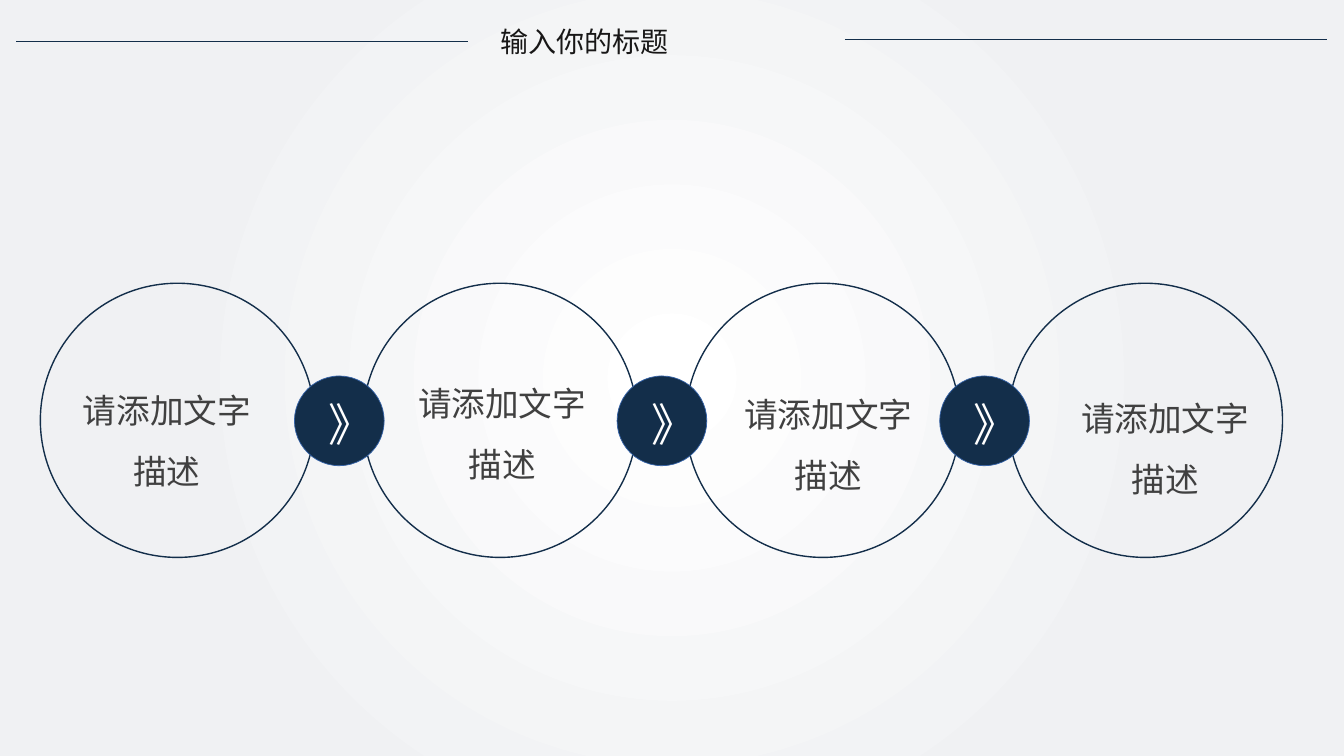
from lxml import etree
from pptx import Presentation
from pptx.dml.color import RGBColor
from pptx.enum import shapes, text
from pptx.oxml.ns import qn
from pptx.util import Inches, Pt

FONT = "Noto Sans CJK SC"
NAVY = "132E4A"
STEP_PITCH = 3.2
LABEL = "请添加文字描述"
LABEL_BOXES = [(0.72, 3.62, 1.87, 1.25), (4.03, 3.55, 1.9, 1.31),
               (7.28, 3.66, 1.87, 1.25), (10.62, 3.7, 1.87, 1.25)]


def color(value):
    return RGBColor.from_string(value)


def set_radial_background(slide, center, edge):
    fill = slide.background.fill
    fill.gradient()
    for stop, position, value in zip(fill.gradient_stops, (0, 0.67), (center, edge)):
        stop.position = position
        stop.color.rgb = color(value)
    gradient = slide.element.find(".//" + qn("a:gradFill"))
    linear = gradient.find(qn("a:lin"))
    radial = etree.Element(qn("a:path"), {"path": "circle"})
    etree.SubElement(radial, qn("a:fillToRect"),
                     {side: "50000" for side in "ltrb"})
    gradient.replace(linear, radial)


def add_text(parent, content, box, *, size, ink, align=None, spacing=None,
             insets=(0.1, 0.05), anchor=text.MSO_ANCHOR.TOP, grow=True):
    text_box = parent.add_textbox(*map(Inches, box))
    frame = text_box.text_frame
    frame.word_wrap = True
    frame.vertical_anchor = anchor
    frame.auto_size = (text.MSO_AUTO_SIZE.SHAPE_TO_FIT_TEXT if grow
                       else text.MSO_AUTO_SIZE.NONE)
    frame.margin_left = frame.margin_right = Inches(insets[0])
    frame.margin_top = frame.margin_bottom = Inches(insets[1])
    paragraph = frame.paragraphs[0]
    paragraph.alignment = align
    paragraph.line_spacing = spacing
    run = paragraph.add_run()
    run.text = content
    run.font.size = Pt(size)
    run.font.color.rgb = color(ink)
    run.font.name = FONT
    etree.SubElement(run.font._element, qn("a:ea"), {"typeface": FONT})


def add_circle(parent, left, top, diameter, *, outline, width, fill=None):
    circle = parent.add_shape(shapes.MSO_SHAPE.OVAL, Inches(left), Inches(top),
                              Inches(diameter), Inches(diameter))
    circle.shadow.inherit = False
    if fill:
        circle.fill.solid()
        circle.fill.fore_color.rgb = color(fill)
    else:
        circle.fill.background()
    circle.line.color.rgb = color(outline)
    circle.line.width = Pt(width)


def add_rule(parent, left, right, y):
    rule = parent.add_connector(shapes.MSO_CONNECTOR.STRAIGHT, Inches(left),
                                Inches(y), Inches(right), Inches(y))
    rule.line.color.rgb = color(NAVY)
    rule.line.width = Pt(1)
    etree.SubElement(rule._element.spPr, qn("a:effectLst"))


def add_chevron_disc(slide, left):
    disc = slide.shapes.add_group_shape().shapes
    add_circle(disc, left, 3.73, 0.89, outline="3563A8", width=0.5, fill=NAVY)
    add_text(disc, "》", (left + 0.27, 3.9, 0.37, 0.54), size=32, ink="FFFFFF",
             insets=(0.07, 0.04), grow=False)


def add_header(slide, title):
    header = slide.shapes.add_group_shape().shapes
    add_text(header, title, (4.96, 0.24, 3.01, 0.34), size=20, ink="181717",
             align=text.PP_ALIGN.JUSTIFY, insets=(0, 0),
             anchor=text.MSO_ANCHOR.MIDDLE)
    add_rule(header, 0.16, 4.64, 0.41)
    add_rule(header, 8.38, 13.16, 0.39)


def main():
    deck = Presentation()
    deck.slide_width, deck.slide_height = Inches(13.33), Inches(7.5)
    slide = deck.slides.add_slide(deck.slide_layouts[6])
    set_radial_background(slide, "FFFFFF", "F0F1F3")

    for step in range(len(LABEL_BOXES)):
        add_circle(slide.shapes, 0.4 + step * STEP_PITCH, 2.81, 2.72,
                   outline=NAVY, width=1)
    for gap in range(len(LABEL_BOXES) - 1):
        add_chevron_disc(slide, 2.92 + gap * STEP_PITCH)
    for box in LABEL_BOXES:
        add_text(slide.shapes, LABEL, box, size=24, ink="404040",
                 align=text.PP_ALIGN.CENTER, spacing=1.5)
    add_header(slide, "输入你的标题")
    deck.save("out.pptx")


if __name__ == "__main__":
    main()
